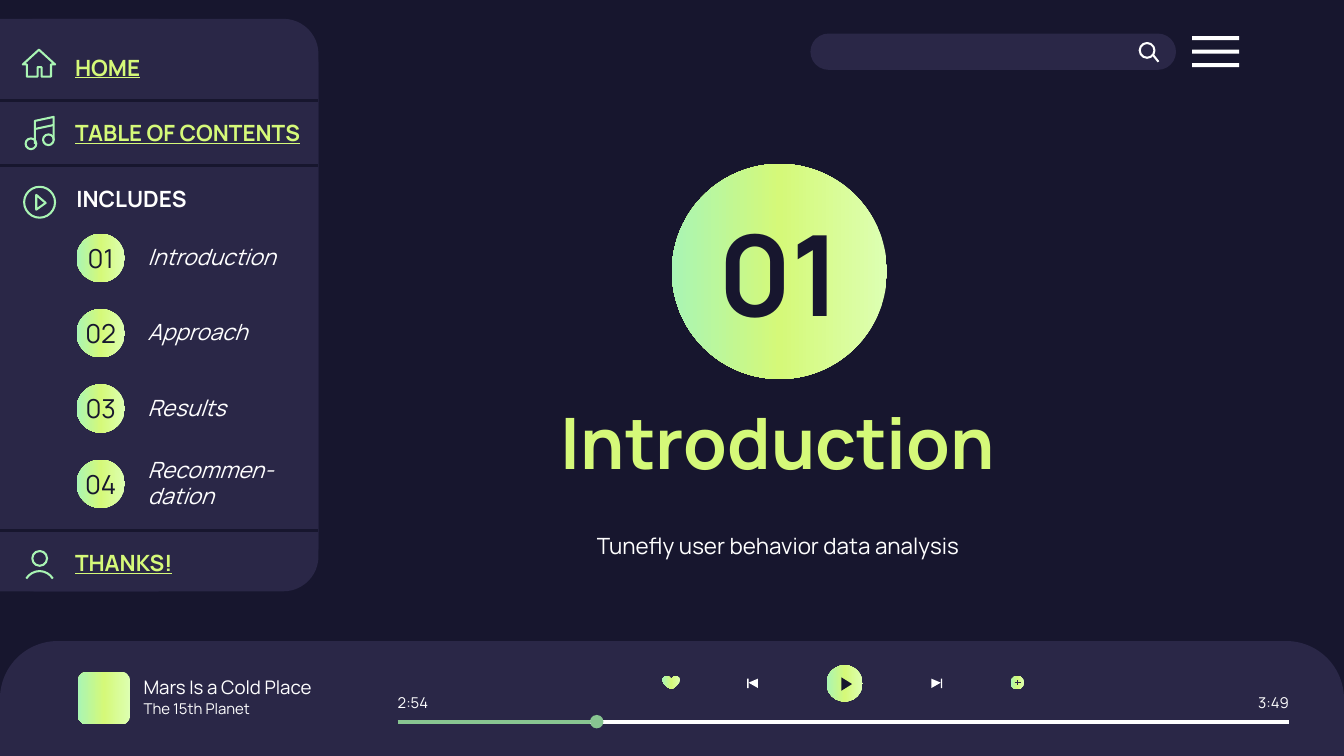
from lxml import etree
from pptx import Presentation
from pptx.dml.color import RGBColor
from pptx.enum.shapes import MSO_CONNECTOR, MSO_SHAPE as SHAPE
from pptx.enum.text import MSO_ANCHOR, MSO_AUTO_SIZE, PP_ALIGN as ALIGN
from pptx.oxml.ns import qn
from pptx.util import Inches, Pt

THEME = {
    "font": "Manrope",
    "night": "17162E", "panel": "2A2747", "white": "FFFFFF",
    "lime": "D5F979", "mint": "A9F5B4", "progress": "88C591",
    "glow": ("DDFFB2", "D5F979", "A9F5B4"),
    "hero": 60, "title": 38, "badge": 14, "body": 12, "song": 10, "small": 8,
}


def paint(shape, fill=None, line=None, width=1.1):
    """Fill with one theme colour or gradient, and outline if a line colour is given."""
    shape.shadow.inherit = False
    if fill is None:
        shape.fill.background()
    elif isinstance(THEME[fill], tuple):
        shape.fill.gradient()
        shape.fill.gradient_angle = 180
        stops = shape.fill._fill._gradFill.find(qn("a:gsLst"))
        for stop in list(stops):
            stops.remove(stop)
        for position, colour in zip((0, 50000, 100000), THEME[fill]):
            stop = etree.SubElement(stops, qn("a:gs"), pos=str(position))
            etree.SubElement(stop, qn("a:srgbClr"), val=colour)
    else:
        shape.fill.solid()
        shape.fill.fore_color.rgb = RGBColor.from_string(THEME[fill])
    if line is None:
        shape.line.fill.background()
    else:
        shape.line.color.rgb = RGBColor.from_string(THEME[line])
        shape.line.width = Pt(width)


def write(shape, text, size="body", color="white", align=ALIGN.LEFT, inset=0.1,
          bold=False, italic=False, underline=False):
    frame = shape.text_frame
    frame.word_wrap = True
    frame.auto_size = MSO_AUTO_SIZE.NONE
    frame.vertical_anchor = MSO_ANCHOR.MIDDLE
    frame.margin_left = frame.margin_right = Inches(inset)
    frame.margin_top = frame.margin_bottom = 0
    paragraph = frame.paragraphs[0]
    paragraph.alignment = align
    run = paragraph.add_run()
    run.text = text
    run.font.name = THEME["font"]
    run.font.size = Pt(THEME[size])
    run.font.color.rgb = RGBColor.from_string(THEME[color])
    run.font.bold, run.font.italic, run.font.underline = bold, italic, underline


presentation = Presentation()
presentation.slide_width = Inches(10)
presentation.slide_height = Inches(10 * 9 / 16)
slide = presentation.slides.add_slide(presentation.slide_layouts[5])
slide.background.fill.solid()
slide.background.fill.fore_color.rgb = RGBColor.from_string(THEME["night"])
shapes = slide.shapes

# Panels, search bar, menu bars, cover art and player icons
blocks = [
    (SHAPE.ROUNDED_RECTANGLE, 6.03, 0.25, 2.72, 0.27, "panel", [0.5]),
    (SHAPE.ROUND_2_SAME_RECTANGLE, 0, 4.77, 10, 0.86, "panel", [0.5, 0]),
    (SHAPE.ROUNDED_RECTANGLE, 0.58, 5, 0.39, 0.39, "glow", [0.17]),
    (SHAPE.HEART, 4.93, 5.03, 0.13, 0.1, "glow", []),
    (SHAPE.OVAL, 7.52, 5.03, 0.1, 0.1, "glow", []),
    (SHAPE.OVAL, 6.15, 4.95, 0.27, 0.27, "glow", []),
    (SHAPE.RECTANGLE, 5.56, 5.05, 0.01, 0.07, "white", []),
    (SHAPE.RECTANGLE, 7, 5.05, 0.01, 0.07, "white", []),
    (SHAPE.OVAL, 5, 1.22, 1.6, 1.6, "glow", []),
]
for row in range(3):
    blocks.append((SHAPE.RECTANGLE, 8.87, 0.27 + 0.1 * row, 0.35, 0.03, "white", []))
for top in (0.22, 0.14):
    blocks.append((SHAPE.RECTANGLE, 0, top, 1.18, 4.18, "panel", []))
    blocks.append((SHAPE.ROUNDED_RECTANGLE, 0, top, 2.37, 4.18, "panel", [0.11]))
for kind, left, top, width, height, fill, adjustments in blocks:
    block = shapes.add_shape(kind, Inches(left), Inches(top), Inches(width), Inches(height))
    for index, value in enumerate(adjustments):
        block.adjustments[index] = value
    paint(block, fill)

# Round parts of the icons: search, notes, play, head
for left, top, diameter, color in [
    (8.48, 0.32, 0.11, "white"), (0.19, 1.03, 0.08, "mint"), (0.32, 1, 0.08, "mint"),
    (0.18, 1.39, 0.23, "mint"), (0.24, 4.1, 0.11, "mint"),
]:
    ring = shapes.add_shape(SHAPE.OVAL, Inches(left), Inches(top),
                            Inches(diameter), Inches(diameter))
    paint(ring, line=color)
shoulders = shapes.add_shape(SHAPE.ARC, Inches(0.18), Inches(4.25), Inches(0.23), Inches(0.23))
for index, degrees in enumerate((211, 329)):
    shoulders.adjustments[index] = degrees * 0.6
paint(shoulders, line="mint")

# Angular parts of the icons: points, closed, fill, line
outlines = [
    ([(0.29, 0.37), (0.41, 0.48), (0.38, 0.48), (0.38, 0.57), (0.31, 0.57), (0.31, 0.5),
      (0.28, 0.5), (0.28, 0.57), (0.2, 0.57), (0.2, 0.48), (0.17, 0.48)], True, None, "mint"),
    ([(0.26, 1.07), (0.26, 0.9), (0.4, 0.87), (0.4, 1.04)], False, None, "mint"),
    ([(0.27, 1.45), (0.27, 1.56), (0.34, 1.51)], True, None, "mint"),
    ([(6.26, 5.04), (6.26, 5.14), (6.34, 5.09)], True, "night", None),
    ([(6.93, 5.05), (6.93, 5.12), (7, 5.08)], True, "white", None),
    ([(5.64, 5.05), (5.57, 5.08), (5.64, 5.12)], True, "white", None),
]
for points, closed, fill, line in outlines:
    corners = [(Inches(x), Inches(y)) for x, y in points]
    builder = shapes.build_freeform(*corners[0], scale=1.0)
    builder.add_line_segments(corners[1:], close=closed)
    paint(builder.convert_to_shape(), fill, line)

# Dividers, progress bar and straight strokes of the icons
strokes = [(0, y, 2.37, y, "night", 1.5) for y in (0.75, 1.23, 3.95)] + [
    (2.96, 5.37, 9.59, 5.37, "white", 2.25),
    (2.96, 5.37, 4.39, 5.37, "progress", 2.25),
    (8.58, 0.41, 8.62, 0.46, "white", 1.1),
    (0.26, 0.96, 0.4, 0.93, "mint", 1.1),
    (7.57, 5.06, 7.57, 5.1, "panel", 0.75),
    (7.55, 5.08, 7.6, 5.08, "panel", 0.75),
]
for x1, y1, x2, y2, color, width in strokes:
    stroke = shapes.add_connector(MSO_CONNECTOR.STRAIGHT, Inches(x1), Inches(y1),
                                  Inches(x2), Inches(y2))
    stroke.line.color.rgb = RGBColor.from_string(THEME[color])
    stroke.line.width = Pt(width)
    etree.SubElement(stroke._element.spPr, qn("a:effectLst"))
knob = shapes.add_shape(SHAPE.OVAL, Inches(4.39), Inches(5.32), Inches(0.1), Inches(0.1))
paint(knob, "progress")

# Title and other text
title = shapes.title
title.left, title.top, title.width, title.height = map(Inches, (2.92, 2.82, 5.74, 0.92))
write(title, "Introduction", size="title", color="lime", align=ALIGN.CENTER, bold=True)

link = {"color": "lime", "bold": True, "underline": True}
labels = [
    ("01", 5, 1.56, 1.6, 0.92,
     {"size": "hero", "color": "night", "align": ALIGN.CENTER, "bold": True}),
    ("Tunefly user behavior data analysis", 2.92, 3.67, 5.74, 0.78, {"align": ALIGN.CENTER}),
    ("HOME", 0.46, 0.32, 2.08, 0.36, link),
    ("TABLE OF CONTENTS", 0.46, 0.81, 2.08, 0.36, link),
    ("INCLUDES", 0.47, 1.3, 1.3, 0.36, {"bold": True}),
    ("THANKS!", 0.46, 4.01, 2.08, 0.36, link),
    ("Mars Is a Cold Place", 0.97, 5.03, 1.91, 0.17, {"size": "song"}),
    ("The 15th Planet", 0.97, 5.19, 1.15, 0.17, {"size": "small"}),
    ("2:54", 2.96, 5.14, 0.27, 0.17, {"size": "small", "inset": 0}),
    ("3:49", 9.32, 5.14, 0.27, 0.17, {"size": "small", "inset": 0, "align": ALIGN.RIGHT}),
]
for row, section in enumerate(["Introduction", "Approach", "Results", "Recommen-dation"]):
    badge = shapes.add_shape(SHAPE.OVAL, Inches(0.57), Inches(1.74 + 0.56 * row),
                             Inches(0.36), Inches(0.36))
    paint(badge, "glow")
    write(badge, f"{row + 1:02}", size="badge", color="night", align=ALIGN.CENTER, inset=0)
    labels.append((section, 1, 1.65 + 0.56 * row, 1.21, 0.52, {"italic": True}))
for text, left, top, width, height, style in labels:
    box = shapes.add_textbox(Inches(left), Inches(top), Inches(width), Inches(height))
    write(box, text, **style)

presentation.save("out.pptx")
